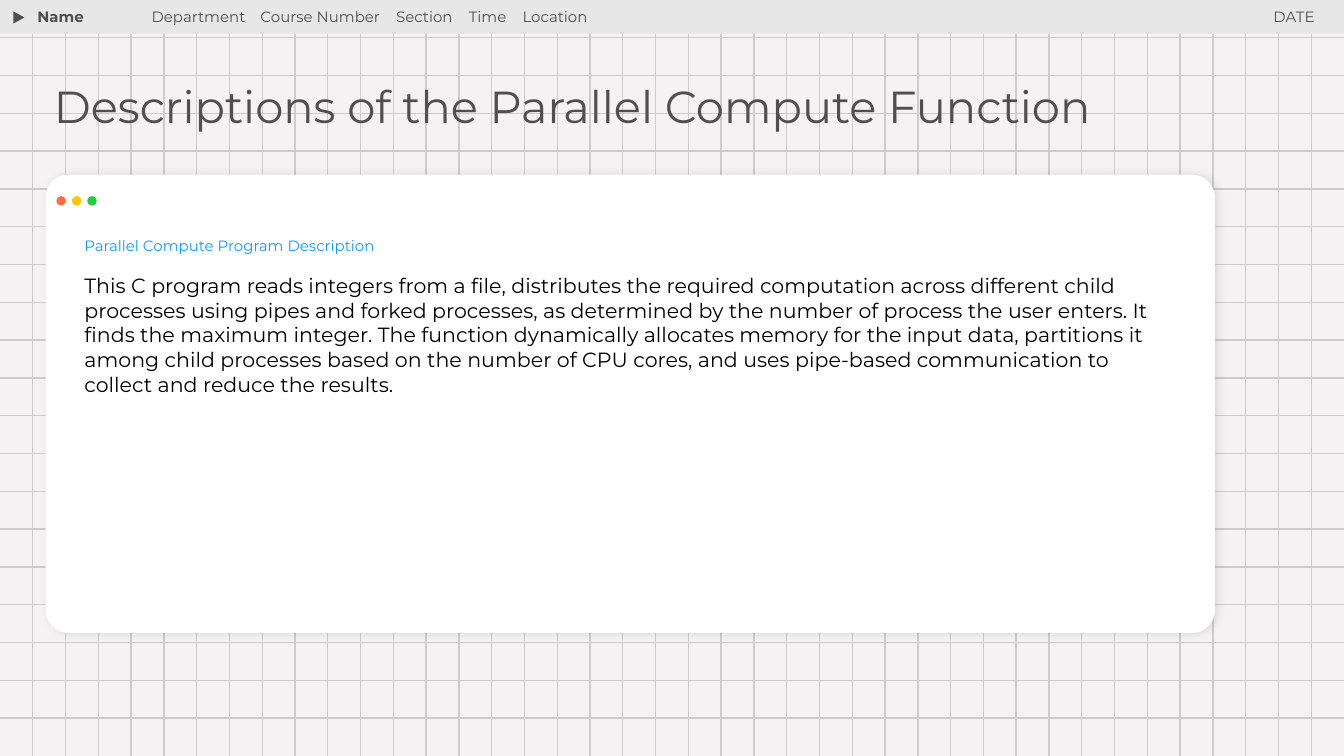
import lxml.etree
import pptx
import pptx.dml.color
import pptx.enum.shapes
import pptx.enum.text
import pptx.oxml.ns
import pptx.util

Inches = pptx.util.Inches
Pt = pptx.util.Pt
SHAPE = pptx.enum.shapes.MSO_SHAPE
ALIGN = pptx.enum.text.PP_ALIGN
qn = pptx.oxml.ns.qn

SLIDE_WIDTH = 10
SLIDE_HEIGHT = SLIDE_WIDTH * 9 / 16
COLORS = {
    "background": "F4F2F2", "grid": "CCCCCC", "bar": "E7E7E7", "ink": "4F4F4F",
    "window": "FFFFFF", "shadow": "000000", "heading": "119BFE", "body": "000000",
    "close": "FF6B4D", "minimize": "FFC600", "zoom": "28C840",
}
FONT = "Montserrat"
HEADER_FIELDS = ["Department", "Course Number", "Section", "Time", "Location"]
FIELD_TABS = [0.81, 1.82, 2.36, 2.76]
TITLE = "Descriptions of the Parallel Compute Function"
HEADING = "Parallel Compute Program Description"
DESCRIPTION = (
    "This C program reads integers from a file, distributes the required computation "
    "across different child processes using pipes and forked processes, as determined by "
    "the number of process the user enters. It finds the maximum integer. The function "
    "dynamically allocates memory for the input data, partitions it among child processes "
    "based on the number of CPU cores, and uses pipe-based communication to collect and "
    "reduce the results."
)


def rgb(name):
    return pptx.dml.color.RGBColor.from_string(COLORS[name])


def set_attributes(target, values):
    for name, value in values.items():
        setattr(target, name, value)


def add_filled_shape(shapes, kind, box, color):
    shape = shapes.add_shape(kind, *map(Inches, box))
    shape.shadow.inherit = False
    shape.fill.solid()
    shape.fill.fore_color.rgb = rgb(color)
    shape.line.fill.background()
    return shape


def write_paragraph(paragraph, text, size, color, bold=False, **layout):
    run = paragraph.add_run()
    run.text = text
    set_attributes(run.font, {"name": FONT, "size": Pt(size), "bold": bold})
    run.font.color.rgb = rgb(color)
    set_attributes(paragraph, {"alignment": ALIGN.LEFT, **layout})


def format_frame(frame):
    margins = ["margin_left", "margin_top", "margin_right", "margin_bottom"]
    set_attributes(frame, {
        **dict.fromkeys(margins, Inches(0.1)),
        "word_wrap": True,
        "auto_size": pptx.enum.text.MSO_AUTO_SIZE.NONE,
        "vertical_anchor": pptx.enum.text.MSO_ANCHOR.TOP,
    })


def add_text_frame(slide, box):
    frame = slide.shapes.add_textbox(*map(Inches, box)).text_frame
    format_frame(frame)
    return frame


def add_tab_stops(paragraph, positions):
    tab_list = lxml.etree.SubElement(paragraph._p.get_or_add_pPr(), qn("a:tabLst"))
    for position in positions:
        lxml.etree.SubElement(tab_list, qn("a:tab"), pos=str(Inches(position)), algn="l")


def add_grid(slide, left, top, width, height, columns=41, rows=20):
    group = slide.shapes.add_group_shape()
    xs = [left + width * i / columns for i in range(1, columns)]
    ys = [top + height * i / rows for i in range(1, rows)]
    lines = [(left, y, left + width, y) for y in ys]
    lines += [(x, top, x, top + height) for x in xs]
    for ends in lines:
        line = group.shapes.add_connector(
            pptx.enum.shapes.MSO_CONNECTOR.STRAIGHT, *map(Inches, ends))
        line.line.width = Pt(0.75)
        line.line.color.rgb = rgb("grid")
        lxml.etree.SubElement(line._element.spPr, qn("a:effectLst"))


def add_header(slide, left, top, width, height):
    add_filled_shape(slide.shapes, SHAPE.RECTANGLE, (left, top, width, height), "bar")
    marker = add_filled_shape(slide.shapes, SHAPE.ISOSCELES_TRIANGLE,
                              (left + 0.09, top + 0.08, 0.11, 0.1), "ink")
    marker.rotation = 90
    marker.line.color.rgb = rgb("bar")
    marker.line.width = Pt(0.75)

    labels = [
        (0.18, 1.28, "Name", {"bold": True}),
        (1.03, 4.17, "\t".join(HEADER_FIELDS), {}),
        (8.21, 1.67, "DATE", {"alignment": ALIGN.RIGHT}),
    ]
    for x, label_width, text, options in labels:
        frame = add_text_frame(slide, (left + x, top - 0.04, label_width, 0.47))
        paragraph = frame.paragraphs[0]
        write_paragraph(paragraph, text, 8, "ink", **options)
        if "\t" in text:
            add_tab_stops(paragraph, FIELD_TABS)


def add_title(slide, *box):
    """Place the title placeholder in front of the grid."""
    title = slide.shapes.title
    set_attributes(title, dict(zip(["left", "top", "width", "height"], map(Inches, box))))
    format_frame(title.text_frame)
    write_paragraph(title.text_frame.paragraphs[0], TITLE, 24, "ink", line_spacing=0.9)
    slide.shapes._spTree.append(title._element)


def add_soft_shadow(shape):
    effects = shape._element.spPr.find(qn("a:effectLst"))
    shadow = lxml.etree.SubElement(
        effects, qn("a:outerShdw"), blurRad=str(Pt(4.5)), dist=str(Pt(1.5)),
        dir="0", algn="bl", rotWithShape="0")
    color = lxml.etree.SubElement(shadow, qn("a:srgbClr"), val=COLORS["shadow"])
    lxml.etree.SubElement(color, qn("a:alpha"), val="10000")


def add_window(slide, left, top, width, height):
    window = add_filled_shape(slide.shapes, SHAPE.ROUNDED_RECTANGLE,
                              (left, top, width, height), "window")
    window.adjustments[0] = 0.05
    add_soft_shadow(window)

    buttons = slide.shapes.add_group_shape()
    for index, color in enumerate(["close", "minimize", "zoom"]):
        box = (left + 0.08 + 0.23 * index / 2, top + 0.16, 0.07, 0.07)
        add_filled_shape(buttons.shapes, SHAPE.OVAL, box, color)

    frame = add_text_frame(slide, (left + 0.19, top + 0.36, width - 0.53, 1.73))
    write_paragraph(frame.paragraphs[0], HEADING, 8, "heading", space_after=Pt(10))
    write_paragraph(frame.add_paragraph(), DESCRIPTION, 11, "body")


def main():
    presentation = pptx.Presentation()
    presentation.slide_width = Inches(SLIDE_WIDTH)
    presentation.slide_height = Inches(SLIDE_HEIGHT)
    slide = presentation.slides.add_slide(presentation.slide_layouts.get_by_name("Title Only"))
    slide.background.fill.solid()
    slide.background.fill.fore_color.rgb = rgb("background")

    add_grid(slide, 0, 0, SLIDE_WIDTH, SLIDE_HEIGHT)
    add_header(slide, 0, 0, SLIDE_WIDTH, 0.25)
    add_title(slide, 0.3, 0.53, 7.99, 0.57)
    add_window(slide, 0.34, 1.3, 8.7, 3.41)
    presentation.save("out.pptx")


if __name__ == "__main__":
    main()
